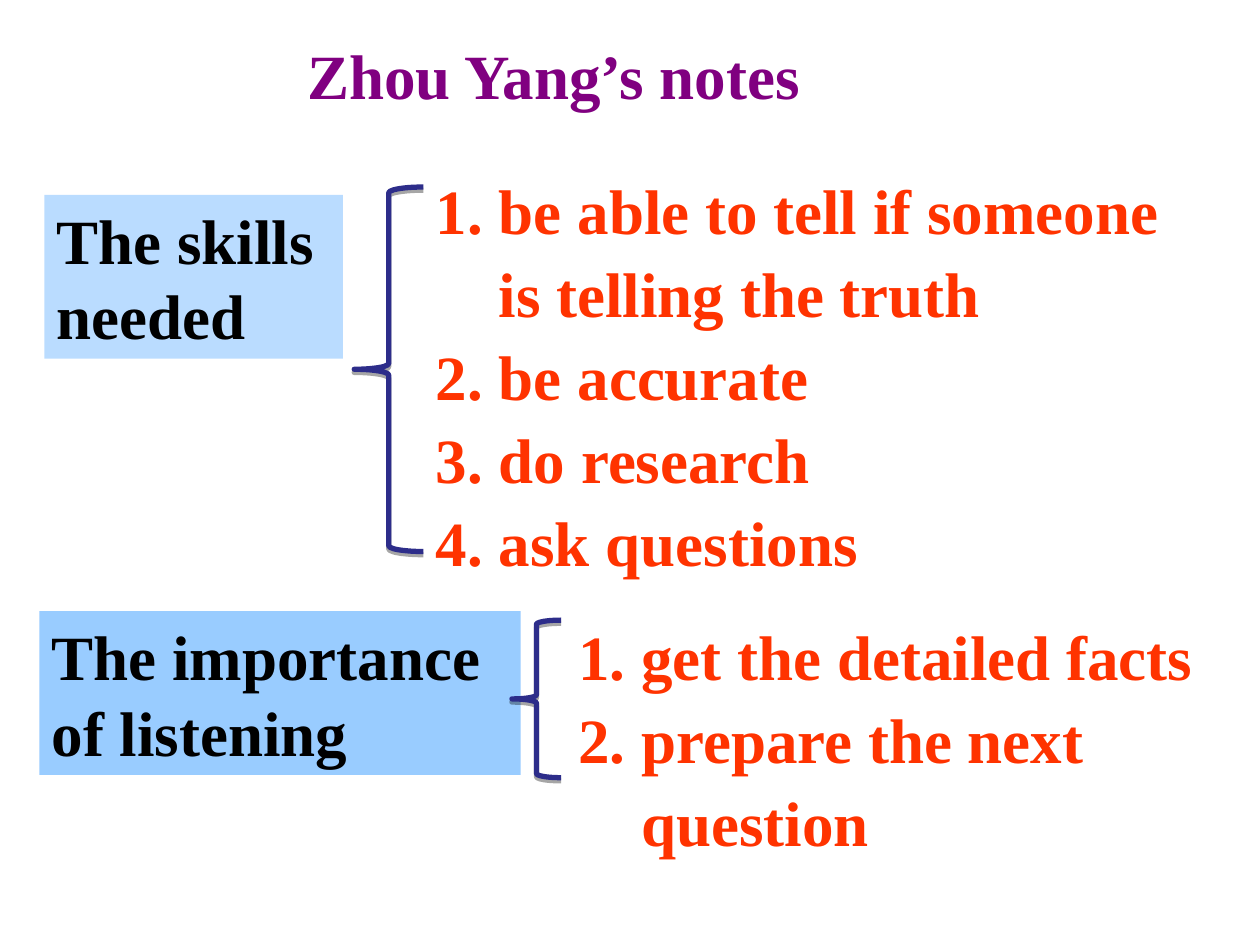
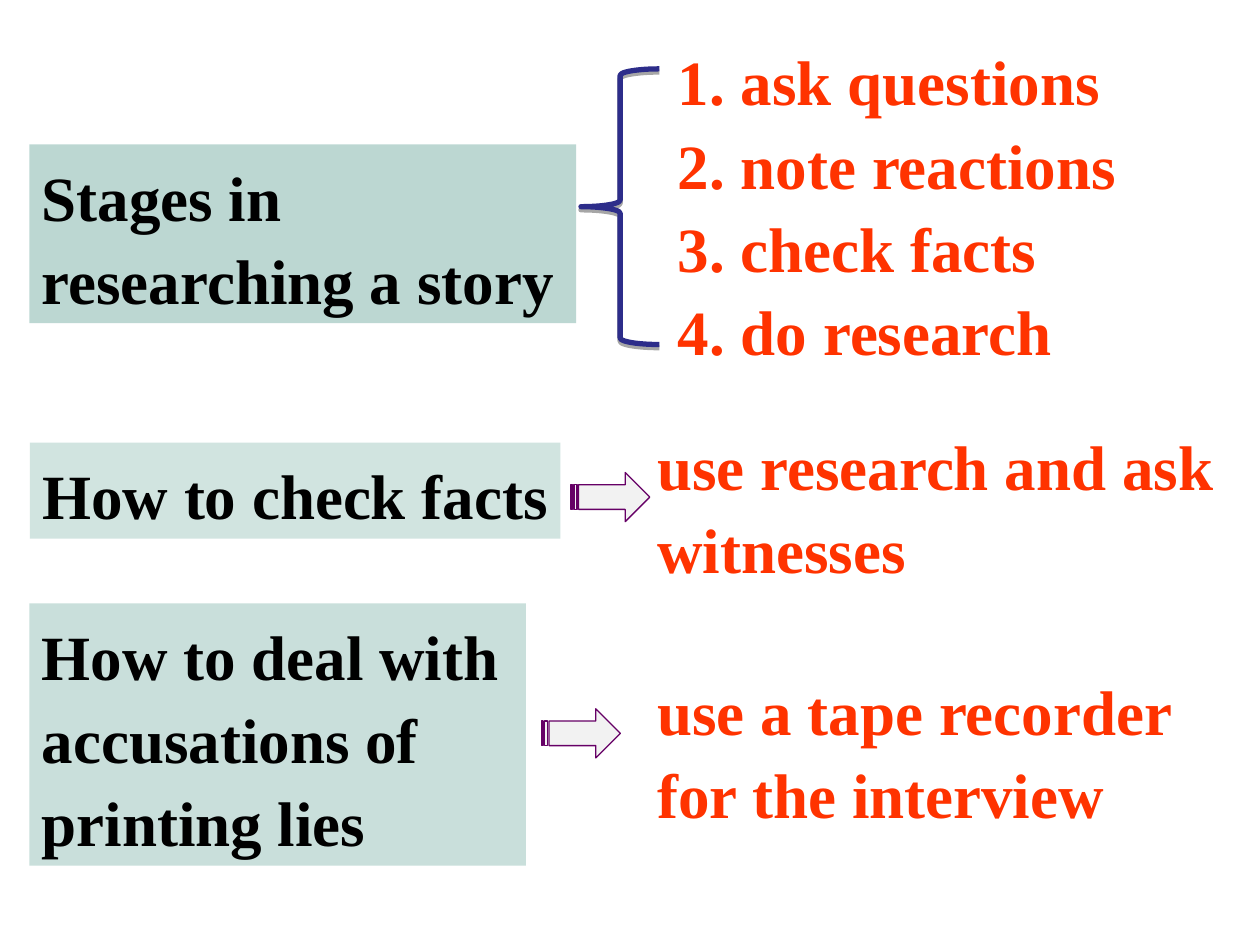
from pptx import Presentation
from pptx.dml.color import RGBColor as RGB
from pptx.enum.shapes import MSO_SHAPE as SHAPE
from pptx.enum.text import MSO_ANCHOR as ANCHOR, MSO_AUTO_SIZE as AUTO, PP_ALIGN as ALIGN
from pptx.oxml.ns import qn
from pptx.util import Pt
from lxml.etree import SubElement

COLORS = {"title": "800080", "label": "000000", "answer": "FF3300", "blue": "99CCFF",
          "green": "84B6AD", "brace": "2D2D8A", "arrow": "F2F2F2", "edge": "660066",
          "shadow": "000000"}
FONT = "Times New Roman"
FORMAT = {"name": FONT, "size": Pt(36), "bold": True}
HANG = 36


def write(sp, box, lines, color, spacing=1.1, numbered=False, align=ALIGN.LEFT, wrap=True):
    """Place a shape and fill it with bold text, numbered if asked."""
    sp.left, sp.top, sp.width, sp.height = map(Pt, box)
    tf = sp.text_frame
    frame = {"word_wrap": wrap, "auto_size": AUTO.NONE, "vertical_anchor": ANCHOR.TOP}
    for name, value in frame.items():
        setattr(tf, name, value)
    for i, line in enumerate(lines):
        p = tf.paragraphs[0] if i == 0 else tf.add_paragraph()
        if numbered:
            pPr = p._p.get_or_add_pPr()
            pPr.set("marL", str(Pt(HANG)))
            pPr.set("indent", str(-Pt(HANG)))
            clr = SubElement(pPr, qn("a:buClr"))
            SubElement(clr, qn("a:srgbClr"), val=COLORS[color])
            SubElement(pPr, qn("a:buFont"), typeface=FONT)
            SubElement(pPr, qn("a:buAutoNum"), type="arabicPeriod")
        p.alignment, p.line_spacing, p.space_before = align, spacing, Pt(0)
        r = p.add_run()
        r.text = line
        for name, value in FORMAT.items():
            setattr(r.font, name, value)
        r.font.color.rgb = RGB.from_string(COLORS[color])


def draw(s, kind, box, fill=None, line=None, width=0, alpha=100):
    """Add a preset shape with a plain fill and line."""
    sp = s.shapes.add_shape(kind, *map(Pt, box))
    sp.shadow.inherit = False
    if fill:
        sp.fill.solid()
        sp.fill.fore_color.rgb = RGB.from_string(COLORS[fill])
        if alpha < 100:
            clr = sp._element.spPr.find(qn("a:solidFill"))[0]
            SubElement(clr, qn("a:alpha"), val=str(alpha * 1000))
    else:
        sp.fill.background()
    if line:
        sp.line.color.rgb = RGB.from_string(COLORS[line])
        sp.line.width = Pt(width)
    else:
        sp.line.fill.background()
    return sp


prs = Presentation()
prs.slide_width, prs.slide_height = Pt(720), Pt(540)

# Slide 1: title and two numbered lists
notes = prs.slides.add_slide(prs.slide_layouts[3])
title, skills, importance = notes.placeholders
write(title, (168.5, 17.3, 368.6, 50.4), ["Zhou Yang’s notes"], "title", 1.0)
write(skills, (241.9, 90, 445, 244.8),
      ["be able to tell if someone is telling the truth", "be accurate",
       "do research", "ask questions"], "answer", numbered=True)
write(importance, (323.3, 344.9, 396.7, 149.8),
      ["get the detailed facts", "prepare the next question"], "answer", numbered=True)

# Slide 2: one numbered list and two plain answers
stages = prs.slides.add_slide(prs.slide_layouts[1])
title, steps = stages.placeholders
title._element.getparent().remove(title._element)
write(steps, (380.2, 16.6, 272.2, 197.3),
      ["ask questions", "note reactions", "check facts", "do research"],
      "answer", numbered=True)
for box, text in [((368.6, 236.2, 345.6, 102.2), "use research and ask witnesses"),
                  ((368.6, 376.6, 323.3, 102.2), "use a tape recorder for the interview")]:
    write(stages.shapes.add_textbox(0, 0, 0, 0), box, [text], "answer")

# Topic labels
CENTERED = {"align": ALIGN.CENTER, "wrap": False}
for s, box, text, fill, alpha, extra in [
        (notes, (25.4, 111.4, 170.6, 93.6), "The skills needed", "blue", 67, {"spacing": 1.0}),
        (notes, (22.5, 349.3, 275, 93.6), "The importance of listening", "blue", 100,
         {"spacing": 1.0}),
        (stages, (16.8, 82.5, 312.5, 102.2), "Stages in researching a story", "green", 54, {}),
        (stages, (17.1, 253, 303.1, 54.8), "How to check facts", "green", 37, CENTERED),
        (stages, (16.8, 344.8, 283.7, 149.8),
         "How to deal with accusations of printing lies", "green", 43, {})]:
    write(draw(s, SHAPE.RECTANGLE, box, fill, alpha=alpha), box, [text], "label", **extra)

# Braces with a soft drop shadow
for s, box in [(notes, (202.4, 106.9, 39.5, 208.3)), (notes, (292.5, 354.4, 28.1, 90)),
               (stages, (332, 39.4, 44.8, 157.5))]:
    sp = draw(s, SHAPE.LEFT_BRACE, box, line="brace", width=3)
    effects = sp._element.spPr.find(qn("a:effectLst"))
    shadow = SubElement(effects, qn("a:outerShdw"), blurRad="0", dist=str(Pt(1.8)),
                        dir="5400000", rotWithShape="0")
    clr = SubElement(shadow, qn("a:srgbClr"), val=COLORS["shadow"])
    SubElement(clr, qn("a:alpha"), val="35000")

# Arrows from label to answer
for left, top in [(326.2, 270), (309.4, 405)]:
    draw(stages, SHAPE.STRIPED_RIGHT_ARROW, (left, top, 45.1, 28.1), "arrow", "edge", 0.75)

prs.save("out.pptx")
